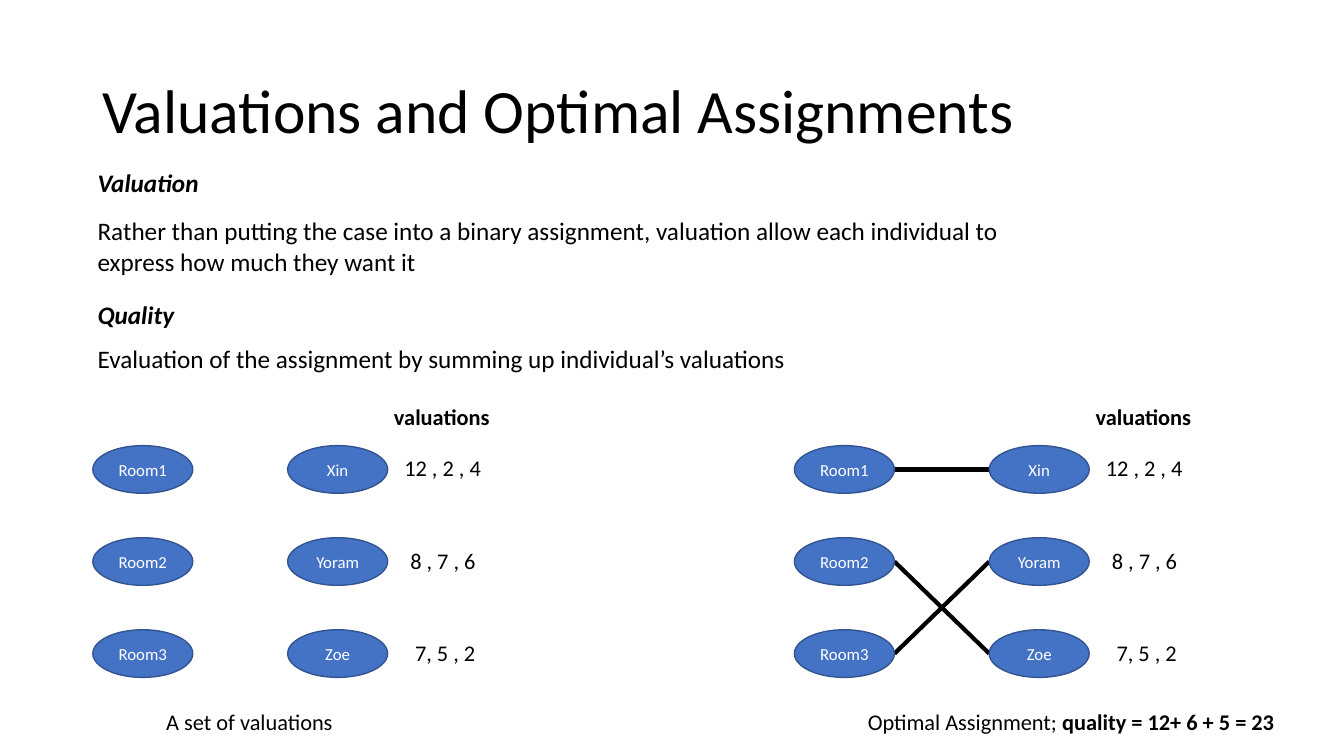
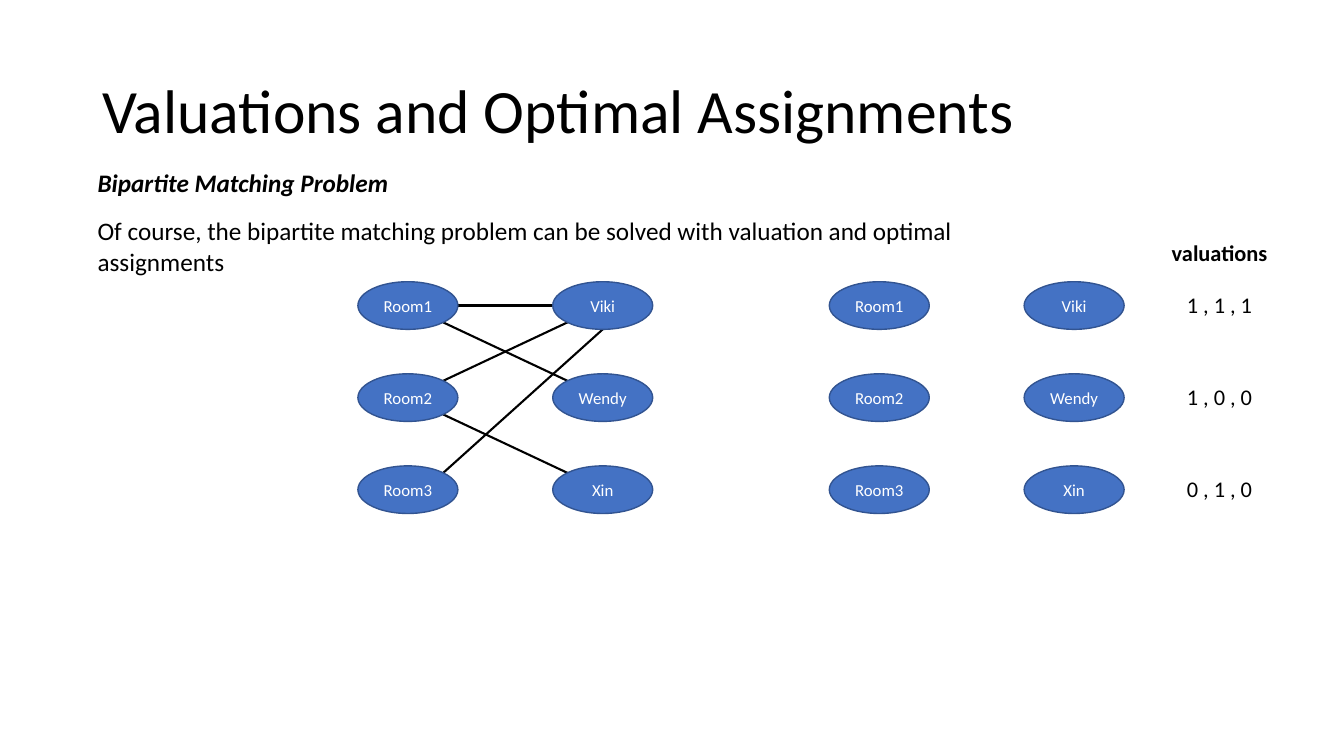
from dataclasses import dataclass
from math import sqrt

from lxml.etree import SubElement
from pptx import Presentation
from pptx.dml.color import RGBColor
from pptx.enum.shapes import MSO_CONNECTOR as Connector, MSO_SHAPE as Shape
from pptx.enum.text import MSO_ANCHOR as Anchor, MSO_AUTO_SIZE as AutoSize, PP_ALIGN as Align
from pptx.oxml.ns import qn
from pptx.util import Cm, Pt


@dataclass(frozen=True)
class Theme:
    font: str = "Calibri"
    ink: RGBColor = RGBColor(0x00, 0x00, 0x00)
    node_fill: RGBColor = RGBColor(0x44, 0x72, 0xC4)
    node_line: RGBColor = RGBColor(0x32, 0x54, 0x91)
    node_ink: RGBColor = RGBColor(0xFF, 0xFF, 0xFF)
    title_size: int = 44
    body_size: int = 18
    label_size: int = 16
    node_size: int = 12


THEME = Theme()
TITLE = "Valuations and Optimal Assignments"
ROOMS = ["Room1", "Room2", "Room3"]

NODE_WIDTH, NODE_HEIGHT = 2.52, 1.2
COLUMN_PITCH, ROW_PITCH = 4.91, 2.32
LABEL_HEIGHT = 0.94

DIAGONAL = 1 / sqrt(2)
LEFT, RIGHT, BOTTOM = (-1, 0), (1, 0), (0, 1)
UPPER_LEFT, UPPER_RIGHT = (-DIAGONAL, -DIAGONAL), (DIAGONAL, -DIAGONAL)
LOWER_LEFT, LOWER_RIGHT = (-DIAGONAL, DIAGONAL), (DIAGONAL, DIAGONAL)


def add_run(paragraph, text, size, color=THEME.ink, bold=False, italic=False):
    run = paragraph.add_run()
    run.text = text
    font = run.font
    font.name, font.size = THEME.font, Pt(size)
    font.bold, font.italic = bold, italic
    font.color.rgb = color


def add_title(slide):
    frame = slide.shapes.add_textbox(Cm(2.33), Cm(1.01), Cm(29.21), Cm(3.68)).text_frame
    frame.word_wrap = True
    frame.vertical_anchor = Anchor.MIDDLE
    paragraph = frame.paragraphs[0]
    paragraph.line_spacing = 0.9
    add_run(paragraph, TITLE, THEME.title_size)


def add_body(slide, top, text, width=26.39, height=1.02, emphasis=False):
    frame = slide.shapes.add_textbox(Cm(0.94), Cm(top), Cm(width), Cm(height)).text_frame
    frame.word_wrap = True
    frame.auto_size = AutoSize.SHAPE_TO_FIT_TEXT
    paragraph = frame.paragraphs[0]
    paragraph.level = 1
    add_run(paragraph, text, THEME.body_size, bold=emphasis, italic=emphasis)


def add_heading(slide, top, text):
    add_body(slide, top, text, width=11.96, emphasis=True)


def add_label(shapes, left, top, width, text="", strong=""):
    frame = shapes.add_textbox(Cm(left), Cm(top), Cm(width), Cm(LABEL_HEIGHT)).text_frame
    frame.word_wrap = False
    frame.auto_size = AutoSize.SHAPE_TO_FIT_TEXT
    for part, bold in ((text, False), (strong, True)):
        if part:
            add_run(frame.paragraphs[0], part, THEME.label_size, bold=bold)


def add_node(shapes, left, top, name):
    node = shapes.add_shape(Shape.OVAL, Cm(left), Cm(top), Cm(NODE_WIDTH), Cm(NODE_HEIGHT))
    node.shadow.inherit = False
    node.fill.solid()
    node.fill.fore_color.rgb = THEME.node_fill
    node.line.color.rgb = THEME.node_line
    node.line.width = Pt(1)
    node.text_frame.vertical_anchor = Anchor.MIDDLE
    paragraph = node.text_frame.paragraphs[0]
    paragraph.alignment = Align.CENTER
    add_run(paragraph, name, THEME.node_size, THEME.node_ink)


def add_edge(shapes, start, end, weight):
    ends = [Cm(value) for value in (*start, *end)]
    edge = shapes.add_connector(Connector.STRAIGHT, *ends)
    edge.line.color.rgb = THEME.ink
    edge.line.width = Pt(weight)
    SubElement(edge.element.spPr, qn("a:effectLst"))


def add_graph(slide, left, top, people, edges=(), weight=1.5):
    shapes = slide.shapes.add_group_shape().shapes

    def corner(column, row):
        return left + column * COLUMN_PITCH, top + row * ROW_PITCH

    def rim(column, row, direction):
        x, y = corner(column, row)
        return (x + NODE_WIDTH / 2 * (1 + direction[0]),
                y + NODE_HEIGHT / 2 * (1 + direction[1]))

    for room, room_side, person, person_side in edges:
        add_edge(shapes, rim(0, room, room_side), rim(1, person, person_side), weight)
    for column, names in enumerate((ROOMS, people)):
        for row, name in enumerate(names):
            add_node(shapes, *corner(column, row), name)
    return shapes


def add_valuations(shapes, left, top, header_offset, scores):
    add_label(shapes, left + header_offset, top - 1.2, 2.95, strong="valuations")
    for row, (text, offset, width) in enumerate(scores):
        add_label(shapes, left + offset, top + 0.1 + row * ROW_PITCH, width, text)


def build_quality_slide(slide):
    add_title(slide)
    add_heading(slide, 4.09, "Valuation")
    add_body(slide, 5.31, "Rather than putting the case into a binary assignment, valuation "
             "allow each individual to express how much they want it", height=1.8)
    add_heading(slide, 7.42, "Quality")
    add_body(slide, 8.53, "Evaluation of the assignment by summing up individual’s valuations")

    people = ["Xin", "Yoram", "Zoe"]
    scores = [("12 , 2 , 4", 7.6, 2.46), ("8 , 7 , 6", 7.75, 2.18), ("7, 5 , 2", 7.87, 2.06)]
    optimal = [(room, RIGHT, person, LEFT) for room, person in ((0, 0), (2, 1), (1, 2))]
    top, caption_top = 11.23, 17.73
    for left, edges, caption in (
        (2.34, (), (3.94, caption_top, 4.75, "A set of valuations")),
        (20.02, optimal, (21.62, caption_top, 10.82, "Optimal Assignment; ",
                          "quality = 12+ 6 + 5 = 23")),
    ):
        shapes = add_graph(slide, left, top, people, edges, weight=3)
        add_valuations(shapes, left, top, 7.34, scores)
        add_label(shapes, *caption)


def build_matching_slide(slide):
    add_title(slide)
    add_heading(slide, 4.09, "Bipartite Matching Problem")
    add_body(slide, 5.31, "Of course, the bipartite matching problem can be solved with "
             "valuation and optimal assignments", height=1.8)

    people = ["Viki", "Wendy", "Xin"]
    acceptable = [
        (0, RIGHT, 0, LEFT),
        (0, LOWER_RIGHT, 1, UPPER_LEFT),
        (1, UPPER_RIGHT, 0, LOWER_LEFT),
        (1, LOWER_RIGHT, 2, UPPER_LEFT),
        (2, UPPER_RIGHT, 0, BOTTOM),
    ]
    top, valued_left = 7.1, 20.9
    add_graph(slide, 9.02, top, people, acceptable)
    shapes = add_graph(slide, valued_left, top, people)
    scores = [(text, 8.76, 2.18) for text in ("1 , 1 , 1", "1 , 0 , 0", "0 , 1 , 0")]
    add_valuations(shapes, valued_left, top, 8.38, scores)


def main():
    deck = Presentation()
    deck.slide_width, deck.slide_height = Cm(33.87), Cm(19.05)
    blank = deck.slide_layouts[6]
    for build in (build_quality_slide, build_matching_slide):
        build(deck.slides.add_slide(blank))
    deck.save("out.pptx")


if __name__ == "__main__":
    main()
